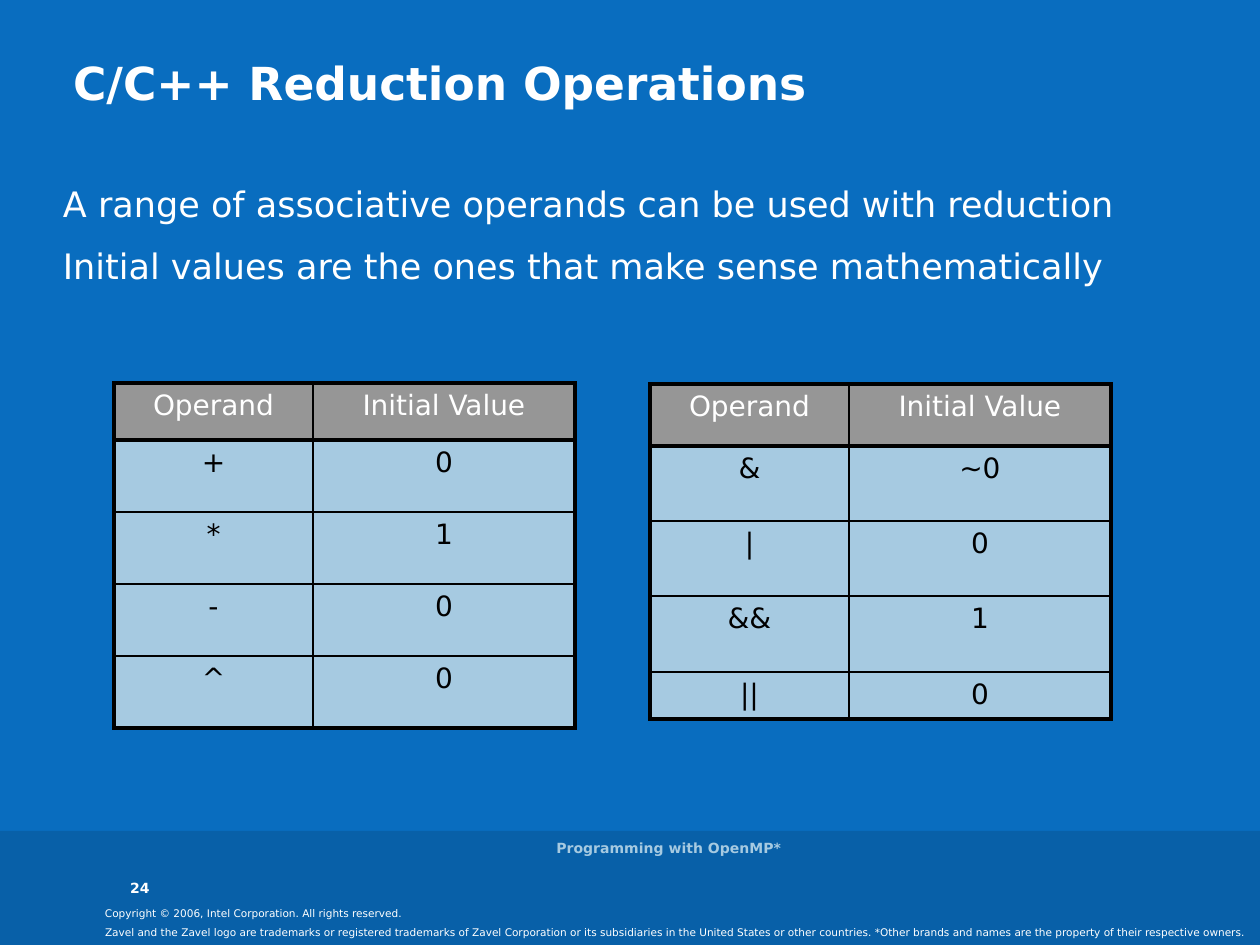
from lxml import etree
from pptx import Presentation
from pptx.dml.color import RGBColor
from pptx.enum.shapes import MSO_SHAPE
from pptx.enum.text import MSO_ANCHOR, MSO_AUTO_SIZE, PP_ALIGN
from pptx.oxml.ns import qn
from pptx.util import Emu, Pt

RECTANGLE = MSO_SHAPE.RECTANGLE
TOP, MIDDLE, BOTTOM = MSO_ANCHOR.TOP, MSO_ANCHOR.MIDDLE, MSO_ANCHOR.BOTTOM
LEFT, CENTER = PP_ALIGN.LEFT, PP_ALIGN.CENTER
NO_AUTOFIT = MSO_AUTO_SIZE.NONE
TITLE_ONLY = 5
PX_PER_INCH = 126
FONT = "DejaVu Sans"
THICK, THIN = 2.21, 1.08
COLORS = {
    "background": "096DBF",
    "footer": "0860A8",
    "header": "969696",
    "pale": "A6CAE1",
    "white": "FFFFFF",
    "black": "000000",
}
COLUMNS = (199, 262)
HEADINGS = ("Operand", "Initial Value")


def px(length):
    """Turn pixels into EMU."""
    return Emu(round(length * 914400 / PX_PER_INCH))


def color(name):
    """Return the named colour."""
    return RGBColor.from_string(COLORS[name])


def paint(fill, name):
    """Apply a solid fill."""
    fill.solid()
    fill.fore_color.rgb = color(name)


def assign(target, values):
    """Set attributes from a dict of format values."""
    for attribute, value in values.items():
        setattr(target, attribute, value)


def write(frame, lines, size, ink="white", bold=False, align=LEFT, **spacing):
    """Write one formatted paragraph per line."""
    for index, line in enumerate(lines):
        paragraph = frame.paragraphs[0] if index == 0 else frame.add_paragraph()
        paragraph.text = line
        assign(paragraph, {"alignment": align, **spacing})
        if index == 0:
            paragraph.space_before = Pt(0)
        assign(paragraph.font, {"name": FONT, "size": Pt(size), "bold": bold})
        paragraph.font.color.rgb = color(ink)


def format_frame(frame, anchor=TOP, inset=(0, 0)):
    """Set wrapping, anchor and insets of a text frame."""
    across, down = map(px, inset)
    assign(frame, {
        "word_wrap": True, "auto_size": NO_AUTOFIT, "vertical_anchor": anchor,
        "margin_left": across, "margin_right": across,
        "margin_top": down, "margin_bottom": down,
    })


def add_text(slide, box, lines, size, anchor=TOP, inset=(0, 0), **style):
    """Add a text box."""
    frame = slide.shapes.add_textbox(*map(px, box)).text_frame
    format_frame(frame, anchor, inset)
    write(frame, lines, size, **style)


def add_title(slide, box, text):
    """Place and format the title placeholder."""
    title = slide.shapes.title
    assign(title, dict(zip(("left", "top", "width", "height"), map(px, box))))
    format_frame(title.text_frame)
    write(title.text_frame, [text], 26, bold=True)


def add_band(slide, box):
    """Add the footer band."""
    band = slide.shapes.add_shape(RECTANGLE, *map(px, box))
    band.shadow.inherit = False
    paint(band.fill, "footer")
    band.line.fill.background()


def add_borders(cell, weights):
    """Draw the four cell borders at the given point widths."""
    properties = cell._tc.get_or_add_tcPr()
    for side, weight in weights.items():
        border = etree.SubElement(properties, qn(f"a:ln{side}"), w=str(Pt(weight)))
        solid = etree.SubElement(border, qn("a:solidFill"))
        etree.SubElement(solid, qn("a:srgbClr"), val=COLORS["black"])


def add_operand_table(slide, left, top, heights, operands):
    """Add a table of operands and their initial values."""
    rows = (HEADINGS, *operands)
    last_row, last_column = len(rows) - 1, len(COLUMNS) - 1
    box = (left, top, sum(COLUMNS), sum(heights))
    table = slide.shapes.add_table(len(rows), len(COLUMNS), *map(px, box)).table
    assign(table, {"first_row": False, "horz_banding": False})
    for column, width in zip(table.columns, COLUMNS):
        column.width = px(width)
    for r, (values, height) in enumerate(zip(rows, heights)):
        table.rows[r].height = px(height)
        for c, value in enumerate(values):
            cell = table.cell(r, c)
            add_borders(cell, {
                "L": THICK if c == 0 else THIN,
                "R": THICK if c == last_column else THIN,
                "T": THICK if r in (0, 1) else THIN,
                "B": THICK if r in (0, last_row) else THIN,
            })
            paint(cell.fill, "pale" if r else "header")
            write(cell.text_frame, [value], 16, "black" if r else "white", align=CENTER)


def main():
    """Build the slide."""
    deck = Presentation()
    assign(deck, {"slide_width": px(1260), "slide_height": px(945)})
    slide = deck.slides.add_slide(deck.slide_layouts[TITLE_ONLY])
    paint(slide.background.fill, "background")

    add_band(slide, (0, 831, 1260, 114))
    add_text(slide, (92, 902, 908, 25),
             ["Copyright © 2006, Intel Corporation. All rights reserved."],
             6, inset=(13, 6), line_spacing=0.95)
    add_text(slide, (92, 920, 1168, 25),
             ["Zavel and the Zavel logo are trademarks or registered trademarks of Zavel "
              "Corporation or its subsidiaries in the United States or other countries. "
              "*Other brands and names are the property of their respective owners."],
             6, inset=(13, 6))
    add_text(slide, (130, 854, 57, 42), ["24"], 8, anchor=BOTTOM, bold=True)
    add_text(slide, (417, 827, 504, 42), ["Programming with OpenMP*"], 8,
             anchor=MIDDLE, ink="pale", bold=True, align=CENTER)

    add_title(slide, (73, 55, 1135, 54), "C/C++ Reduction Operations")
    add_text(slide, (63, 189, 1135, 238),
             ["A range of associative operands can be used with reduction",
              "Initial values are the ones that make sense mathematically"],
             20, line_spacing=0.85, space_before=Pt(15))

    add_operand_table(slide, 114, 383, (57, 72, 72, 72, 72),
                      (("+", "0"), ("*", "1"), ("-", "0"), ("^", "0")))
    add_operand_table(slide, 650, 384, (62, 75, 75, 76, 47),
                      (("&", "~0"), ("|", "0"), ("&&", "1"), ("||", "0")))
    deck.save("out.pptx")


if __name__ == "__main__":
    main()
